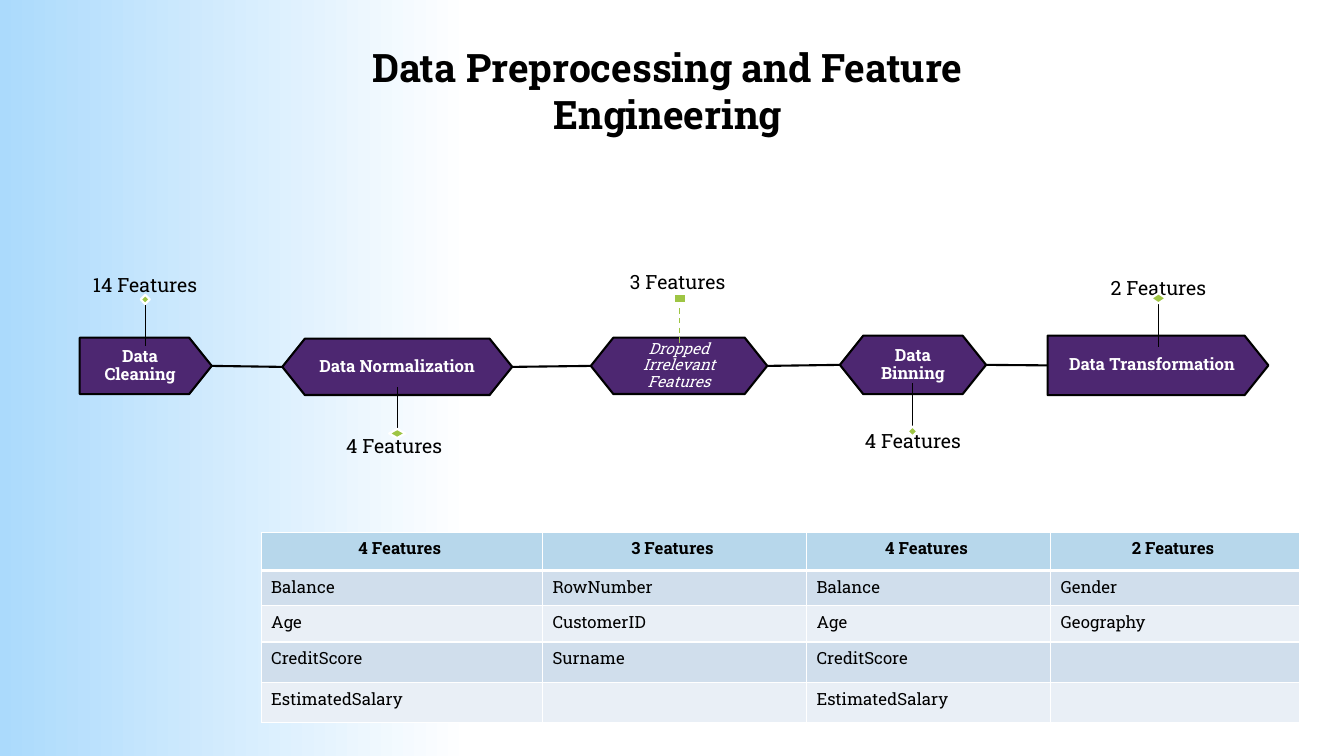
from dataclasses import dataclass
from itertools import accumulate, pairwise
from typing import Any

from lxml import etree
from pptx import Presentation, util as u
from pptx.dml.color import RGBColor
from pptx.enum import dml, shapes, text
from pptx.oxml import ns

BLACK = RGBColor(0x00, 0x00, 0x00)
WHITE = RGBColor(0xFF, 0xFF, 0xFF)
SKY = RGBColor(0xAB, 0xDA, 0xFC)
PURPLE = RGBColor(0x4D, 0x27, 0x71)
GREEN = RGBColor(0x9E, 0xC5, 0x44)
HEAD = RGBColor(0xB7, 0xD7, 0xEB)
BANDS = (RGBColor(0xD0, 0xDE, 0xEC), RGBColor(0xE9, 0xEF, 0xF6))
FONT = "Roboto Slab"

PLATE = shapes.MSO_SHAPE.PENTAGON
HEX = shapes.MSO_SHAPE.HEXAGON
GEM = shapes.MSO_SHAPE.DIAMOND
BOX = shapes.MSO_SHAPE.RECTANGLE
TOP, MIDDLE, BOTTOM = (text.MSO_ANCHOR.TOP, text.MSO_ANCHOR.MIDDLE,
                       text.MSO_ANCHOR.BOTTOM)
LEFT, CENTER = text.PP_ALIGN.LEFT, text.PP_ALIGN.CENTER


@dataclass(frozen=True)
class Area:
    left: float
    top: float
    width: float
    height: float

    def emu(self) -> list[int]:
        return [u.Inches(v) for v in (self.left, self.top, self.width, self.height)]

    @property
    def right(self) -> float:
        return self.left + self.width

    @property
    def middle(self) -> float:
        return self.top + self.height / 2


@dataclass(frozen=True)
class Stage:
    words: str
    kind: Any
    area: Area
    size: float = 12
    bold: bool = True
    inset: float = 0.1


@dataclass(frozen=True)
class Label:
    words: str
    area: Area
    anchor: Any
    align: Any = CENTER
    sides: float = 0
    ends: float = 0.14
    spacing: float = 0.9


@dataclass(frozen=True)
class Pin:
    """A thin line from a marker centre at head to a stage at tip."""
    x: float
    head: float
    tip: float
    width: float
    height: float = 0.09
    kind: Any = GEM
    color: RGBColor = BLACK
    weight: float = 0.25
    dashed: bool = False


STAGES = [
    Stage("Data Cleaning", PLATE, Area(0.79, 3.35, 1.31, 0.56)),
    Stage("Data Normalization", HEX, Area(2.8, 3.36, 2.28, 0.56)),
    Stage("Dropped Irrelevant Features", HEX, Area(5.86, 3.35, 1.75, 0.56),
          size=11, bold=False, inset=0.09),
    Stage("Data Binning", HEX, Area(8.33, 3.33, 1.45, 0.58)),
    Stage("Data Transformation", PLATE, Area(10.39, 3.33, 2.19, 0.59)),
]
LABELS = [
    Label("14 Features", Area(0.53, 1.56, 1.82, 1.49), BOTTOM),
    Label("4 Features ", Area(2.35, 4.23, 3.17, 1.49), TOP),
    Label("3 Features", Area(6.15, 2.63, 1.23, 0.34), TOP, LEFT, 0.1, 0.05, 1),
    Label("4 Features", Area(8.05, 4.18, 2.01, 1.54), TOP),
    Label("2 Features", Area(9.97, 1.51, 3.04, 1.57), BOTTOM),
]
PINS = [
    Pin(1.44, 2.97, 3.43, 0.09),
    Pin(3.94, 4.3, 3.84, 0.16),
    Pin(6.74, 2.96, 3.43, 0.12, kind=BOX, color=GREEN, weight=1, dashed=True),
    Pin(9.05, 4.28, 3.8, 0.1, 0.1),
    Pin(11.49, 2.96, 3.44, 0.15, 0.1),
]
GRID = Area(2.59, 5.28, 10.3, 1.83)
WIDTHS = (2.79, 2.62, 2.42, 2.47)
HEIGHTS = (0.38, 0.35, 0.36, 0.36, 0.38)
ROWS = [
    ("4 Features ", "3 Features ", "4 Features ", "2 Features "),
    ("Balance", "RowNumber", "Balance", "Gender"),
    ("Age", "CustomerID", "Age", "Geography"),
    ("CreditScore", "Surname", "CreditScore", ""),
    ("EstimatedSalary", "", "EstimatedSalary", ""),
]


def write(frame: Any, words: str, *, size: float, color: RGBColor = BLACK,
          bold: bool = False, italic: bool = False, align: Any = CENTER,
          anchor: Any = TOP, sides: float = 0.1, ends: float = 0.05,
          spacing: float = 1) -> None:
    frame.word_wrap = True
    frame.vertical_anchor = anchor
    frame.margin_left = frame.margin_right = u.Inches(sides)
    frame.margin_top = frame.margin_bottom = u.Inches(ends)
    line = frame.paragraphs[0]
    line.alignment, line.line_spacing = align, spacing
    run = line.add_run()
    run.text = words
    font = run.font
    font.name, font.size, font.bold, font.italic = FONT, u.Pt(size), bold, italic
    font.color.rgb = color


def shape(slide: Any, kind: Any, area: Area, fill: RGBColor, edge: RGBColor) -> Any:
    item = slide.shapes.add_shape(kind, *area.emu())
    item.shadow.inherit = False
    item.fill.solid()
    item.fill.fore_color.rgb = fill
    item.line.color.rgb = edge
    item.line.width = u.Pt(1.5)
    return item


def wire(slide: Any, x1: float, y1: float, x2: float, y2: float,
         color: RGBColor, weight: float) -> Any:
    ends = [u.Inches(v) for v in (x1, y1, x2, y2)]
    item = slide.shapes.add_connector(shapes.MSO_CONNECTOR.STRAIGHT, *ends)
    item.line.color.rgb = color
    item.line.width = u.Pt(weight)
    etree.SubElement(item._element.spPr, ns.qn("a:effectLst"))
    return item


def draw_stage(slide: Any, stage: Stage) -> Any:
    item = shape(slide, stage.kind, stage.area, PURPLE, BLACK)
    item.adjustments[0] = 0.4
    write(item.text_frame, stage.words, size=stage.size, color=WHITE,
          bold=stage.bold, italic=not stage.bold, anchor=MIDDLE,
          sides=stage.inset, ends=stage.inset, spacing=0.9)
    return item


def draw_pin(slide: Any, pin: Pin) -> None:
    line = wire(slide, pin.x, pin.head, pin.x, pin.tip, pin.color, pin.weight)
    if pin.dashed:
        line.line.dash_style = dml.MSO_LINE.DASH
    area = Area(pin.x - pin.width / 2, pin.head - pin.height / 2, pin.width, pin.height)
    shape(slide, pin.kind, area, GREEN, WHITE)


def edge_cell(cell: Any, base: float) -> None:
    """Give a cell white borders, the bottom one of weight base."""
    props = cell._tc.get_or_add_tcPr()
    for side, weight in zip("LRTB", (1, 1, 1, base)):
        line = etree.SubElement(props, ns.qn(f"a:ln{side}"), w=str(u.Pt(weight)))
        fill = etree.SubElement(line, ns.qn("a:solidFill"))
        etree.SubElement(fill, ns.qn("a:srgbClr"), val=str(WHITE))


def draw_table(slide: Any) -> None:
    table = slide.shapes.add_table(len(ROWS), len(WIDTHS), *GRID.emu()).table
    table.horz_banding = False
    for col, width in zip(table.columns, WIDTHS):
        col.width = u.Inches(width)
    for r, (row, height, words) in enumerate(zip(table.rows, HEIGHTS, ROWS)):
        row.height = u.Inches(height)
        head = r == 0
        for cell, word in zip(row.cells, words):
            edge_cell(cell, 3 if head else 1)
            cell.fill.solid()
            cell.fill.fore_color.rgb = HEAD if head else BANDS[(r - 1) % 2]
            write(cell.text_frame, word, size=12, bold=head,
                  align=CENTER if head else LEFT)


def main() -> None:
    deck = Presentation()
    deck.slide_width, deck.slide_height = u.Inches(13.33), u.Inches(7.5)
    slide = deck.slides.add_slide(deck.slide_layouts[6])
    back = slide.background.fill
    back.gradient()
    back.gradient_angle = 180
    for stop, color, place in zip(back.gradient_stops, (WHITE, SKY), (0.65, 1)):
        stop.color.rgb, stop.position = color, place

    items = [draw_stage(slide, stage) for stage in STAGES]
    for (one, a), (two, b) in pairwise(zip(STAGES, items)):
        link = wire(slide, one.area.right, one.area.middle,
                    two.area.left, two.area.middle, BLACK, 1.5)
        if one.kind == PLATE:
            link.begin_connect(a, 3)
        if two.kind == PLATE:
            link.end_connect(b, 1)
    for label in LABELS:
        box = slide.shapes.add_textbox(*label.area.emu())
        write(box.text_frame, label.words, size=14, align=label.align,
              anchor=label.anchor, sides=label.sides, ends=label.ends,
              spacing=label.spacing)
    for pin in PINS:
        draw_pin(slide, pin)
    draw_table(slide)
    title = slide.shapes.add_textbox(*Area(3.12, 0.38, 7, 1.04).emu())
    write(title.text_frame, "Data Preprocessing and Feature Engineering",
          size=28, bold=True)
    deck.save("out.pptx")


if __name__ == "__main__":
    main()
